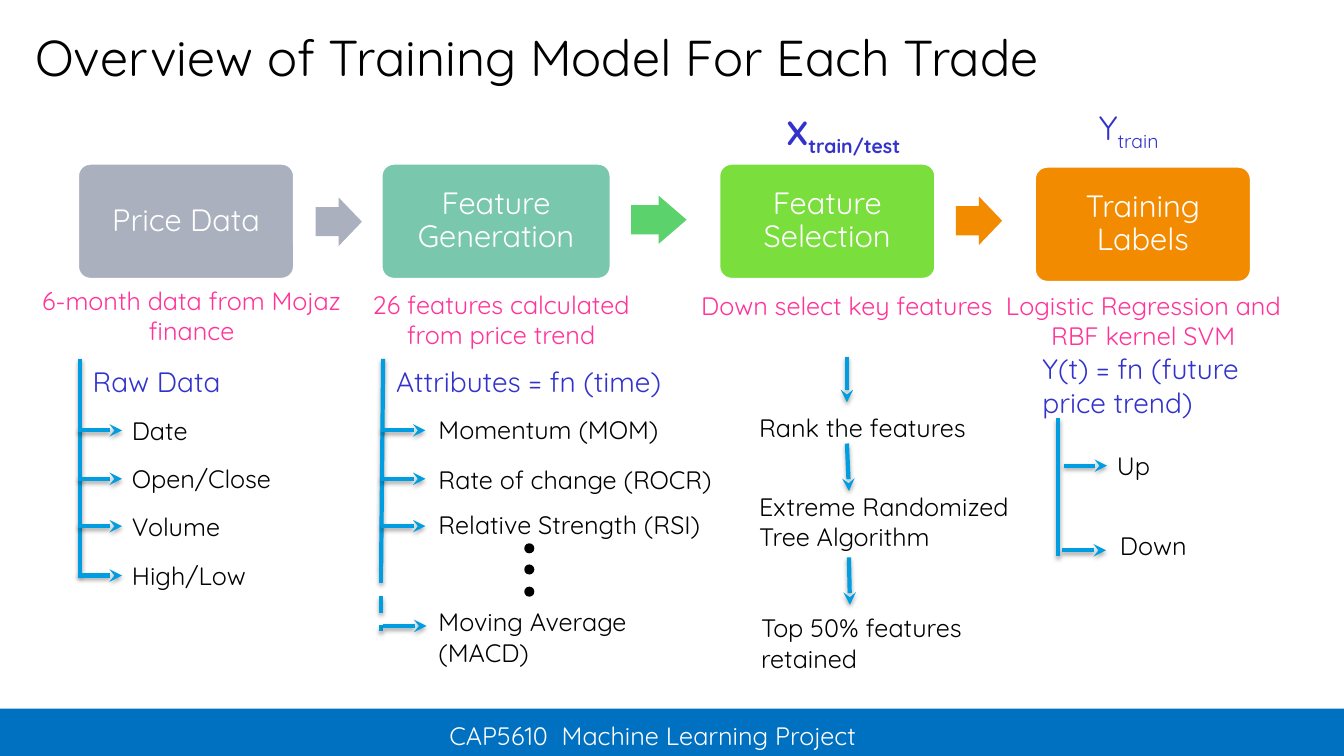
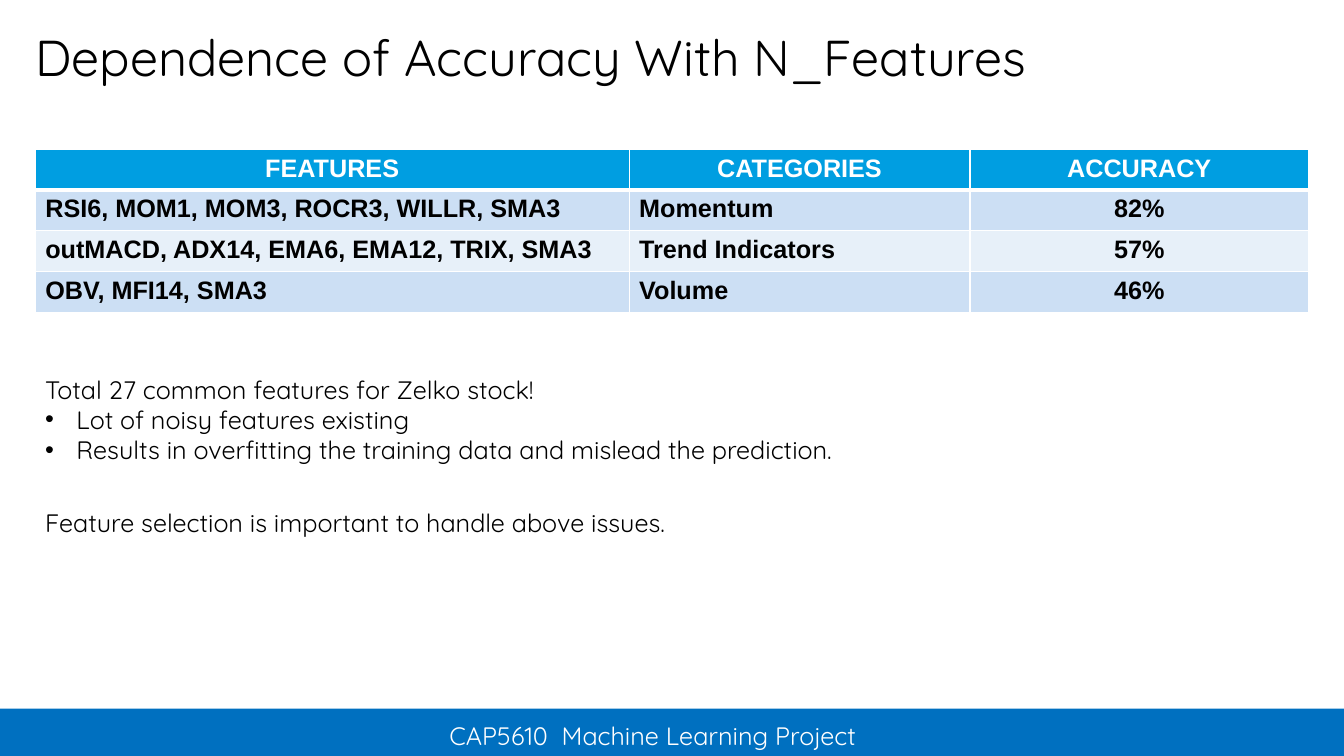
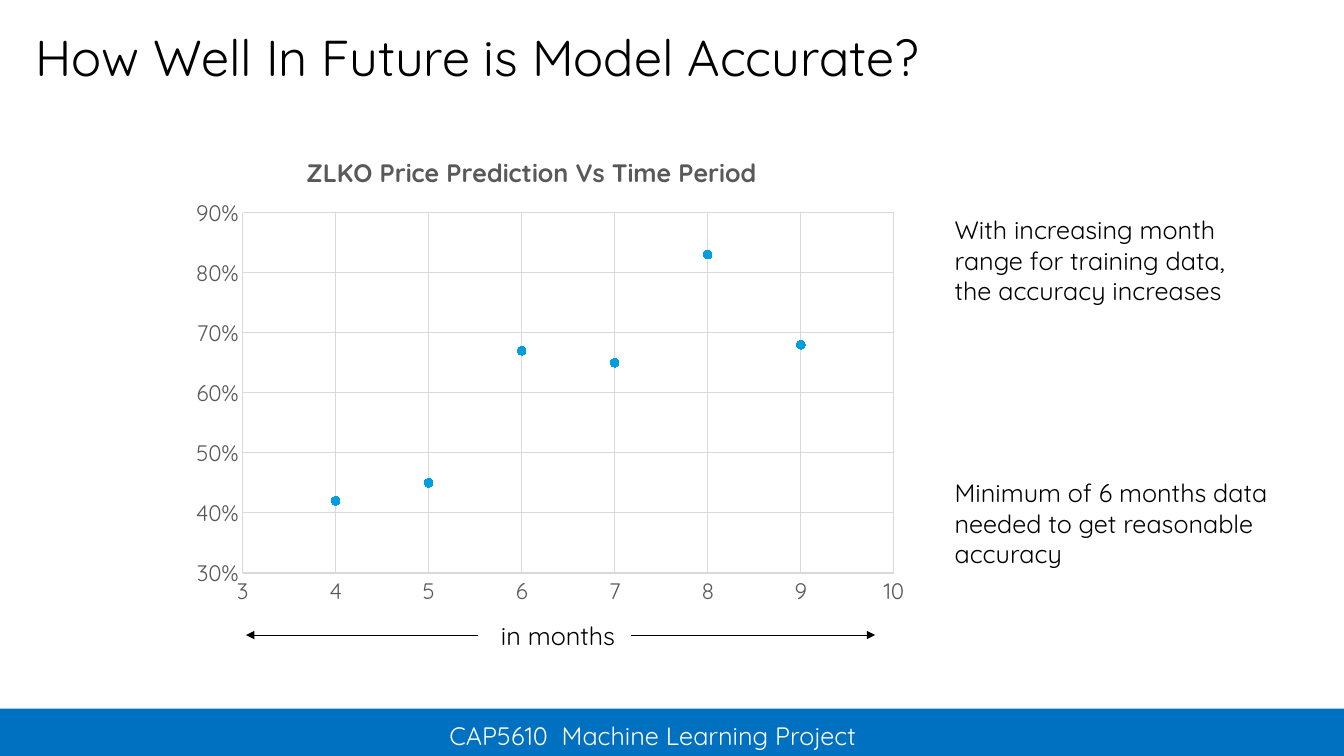
import pptx
import pptx.chart.data
import pptx.dml.color
import pptx.enum.chart
import pptx.enum.dml
import pptx.enum.shapes
import pptx.enum.text
import pptx.oxml
import pptx.oxml.ns
import pptx.util
import lxml.etree

PX = 9144
FONT = "Quicksand"
BLACK = pptx.dml.color.RGBColor(0x00, 0x00, 0x00)
WHITE = pptx.dml.color.RGBColor(0xFF, 0xFF, 0xFF)
BAND = pptx.dml.color.RGBColor(0x00, 0x70, 0xC0)
CYAN = pptx.dml.color.RGBColor(0x00, 0x9E, 0xE1)
PINK = pptx.dml.color.RGBColor(0xFF, 0x33, 0x99)
INDIGO = pptx.dml.color.RGBColor(0x33, 0x33, 0xCC)
SLATE = pptx.dml.color.RGBColor(0xAA, 0xB0, 0xBE)
TEAL = pptx.dml.color.RGBColor(0x79, 0xC8, 0xAD)
GREEN = pptx.dml.color.RGBColor(0x5C, 0xD2, 0x6C)
LIME = pptx.dml.color.RGBColor(0x7A, 0xDE, 0x3C)
ORANGE = pptx.dml.color.RGBColor(0xF3, 0x8B, 0x00)
ROW_DARK = pptx.dml.color.RGBColor(0xCC, 0xDF, 0xF4)
ROW_LIGHT = pptx.dml.color.RGBColor(0xE7, 0xF0, 0xF9)
GRAY = pptx.dml.color.RGBColor(0x59, 0x59, 0x59)
GRID = pptx.dml.color.RGBColor(0xD9, 0xD9, 0xD9)
CENTER = pptx.enum.text.PP_ALIGN.CENTER
MIDDLE = pptx.enum.text.MSO_ANCHOR.MIDDLE
BOTTOM = pptx.enum.text.MSO_ANCHOR.BOTTOM
SHAPE = pptx.enum.shapes.MSO_SHAPE
qn = pptx.oxml.ns.qn


def write(text, slide=None, at=None, holder=None, size=18, color=BLACK, font=FONT,
          bold=False, align=None, anchor=None, inset=None, spacing=None, wrap=True,
          subscript=""):
    if holder is None:
        holder = slide.shapes.add_textbox(*[value * PX for value in at])
    frame = holder.text_frame
    frame.word_wrap = wrap
    if anchor is not None:
        frame.vertical_anchor = anchor
    if inset is not None:
        frame.margin_left = frame.margin_right = inset * PX
        frame.margin_top = frame.margin_bottom = inset * PX
    for index, words in enumerate(text.split("\n")):
        para = frame.add_paragraph() if index else frame.paragraphs[0]
        para.alignment = align
        para.line_spacing = spacing
        for piece in filter(None, (words, subscript)):
            span = para.add_run()
            span.text = piece
            span.font.name = font
            span.font.size = pptx.util.Pt(size)
            span.font.bold = bold
            span.font.color.rgb = color
            if piece == subscript:
                span.font._element.set("baseline", "-25000")
    return holder


def draw_line(slide, start, end, color=CYAN, width=3, head=None, shadow=True):
    line = slide.shapes.add_connector(
        pptx.enum.shapes.MSO_CONNECTOR.STRAIGHT, *[value * PX for value in start + end])
    line.line.color.rgb = color
    line.line.width = pptx.util.Pt(width)
    if head:
        lxml.etree.SubElement(line.line._get_or_add_ln(), qn("a:tailEnd"), type=head)
    effects = lxml.etree.SubElement(line._element.spPr, qn("a:effectLst"))
    if shadow:
        outer = lxml.etree.SubElement(effects, qn("a:outerShdw"), blurRad="40000",
                                      dist="23000", dir="5400000", rotWithShape="0")
        tint = lxml.etree.SubElement(outer, qn("a:srgbClr"), val="000000")
        lxml.etree.SubElement(tint, qn("a:alpha"), val="35000")
    return line


deck = pptx.Presentation()
deck.slide_width = 1333 * PX
deck.slide_height = 750 * PX

pages = []
for title in ("Overview of Training Model For Each Trade",
              "Dependence of Accuracy With N_Features",
              "How Well In Future is Model Accurate?"):
    page = deck.slides.add_slide(deck.slide_layouts[6])
    band = page.shapes.add_shape(SHAPE.RECTANGLE, 0, 703 * PX, 1333 * PX, 47 * PX)
    band.shadow.inherit = False
    band.fill.solid()
    band.fill.fore_color.rgb = BAND
    band.line.fill.background()
    write("CAP5610  Machine Learning Project", page, (436, 710, 460, 40),
          color=WHITE, wrap=False)
    write(title, page, (35, 32, 1263, 55), size=36, anchor=BOTTOM, inset=0, spacing=0.9)
    pages.append(page)
overview, dependence, future = pages

for text, x, y, width, color in (
        ("Price Data", 77, 162, 215, SLATE),
        ("Feature Generation", 378, 162, 228, TEAL),
        ("Feature Selection", 713, 162, 215, LIME),
        ("Training Labels", 1026, 165, 215, ORANGE)):
    stage = overview.shapes.add_shape(
        SHAPE.ROUNDED_RECTANGLE, x * PX, y * PX, width * PX, 115 * PX)
    stage.adjustments[0] = 0.11
    stage.shadow.inherit = False
    stage.fill.solid()
    stage.fill.fore_color.rgb = color
    stage.line.color.rgb = WHITE
    stage.line.width = pptx.util.Pt(2)
    write(text, holder=stage, size=22, color=WHITE, align=CENTER, anchor=MIDDLE,
          inset=13, spacing=0.9)

for x, y, width, color, head in ((313, 196, 46, SLATE, 0.5),
                                 (626, 194, 55, GREEN, 0.58),
                                 (948, 195, 46, ORANGE, 0.5)):
    arrow = overview.shapes.add_shape(
        SHAPE.RIGHT_ARROW, x * PX, y * PX, width * PX, 48 * PX)
    arrow.adjustments[0] = 0.6
    arrow.adjustments[1] = head
    arrow.shadow.inherit = False
    arrow.fill.solid()
    arrow.fill.fore_color.rgb = color
    arrow.line.fill.background()

for text, x, y in (("6-month data from Mojaz finance", 32, 278),
                   ("26 features calculated from price trend", 339, 282),
                   ("Down select key features", 682, 283),
                   ("Logistic Regression and RBF kernel SVM", 976, 283)):
    write(text, overview, (x, y, 316, 71), color=PINK, align=CENTER)

for text, at, wrap in (("Raw Data", (82, 357, 149, 44), False),
                       ("Attributes = fn (time)", (383, 357, 299, 44), False),
                       ("Y(t) = fn (future price trend)", (1024, 344, 241, 77), True)):
    write(text, overview, at, size=20, color=INDIGO, wrap=wrap)
write("X", overview, (770, 106, 138, 50), size=24, color=INDIGO, bold=True,
      wrap=False, subscript="train/test")
write("Y", overview, (1080, 101, 91, 50), size=24, color=INDIGO,
      wrap=False, subscript="train")

for start, end in (((79, 356), (79, 571)), ((380, 356), (378, 562)),
                   ((1049, 415), (1049, 552))):
    draw_line(overview, start, end)
dashed = draw_line(overview, (378, 562), (378, 626))
dashed.line.dash_style = pptx.enum.dml.MSO_LINE.DASH

for text, start, end, level, at in (
        ("Date", 77, 121, 427, (121, 407, 77, 40)),
        ("Open/Close", 77, 121, 475, (121, 455, 163, 40)),
        ("Volume", 77, 121, 522, (121, 502, 111, 40)),
        ("High/Low", 77, 121, 571, (121, 551, 135, 40)),
        ("Momentum (MOM)", 378, 422, 427, (425, 406, 242, 40)),
        ("Rate of change (ROCR)", 378, 422, 475, (425, 456, 305, 40)),
        ("Relative Strength (RSI)", 378, 422, 522, (425, 500, 298, 40)),
        ("Moving Average (MACD)", 380, 423, 621, (425, 597, 262, 71)),
        ("Up", 1055, 1098, 462, (1098, 442, 55, 40)),
        ("Down", 1053, 1097, 546, (1101, 521, 90, 40))):
    label = write(text, overview, at, wrap=at[3] > 40)
    pointer = draw_line(overview, (start, level), (end, level), head="stealth")
    if at[0] == end:
        pointer.end_connect(label, 1)

for y in (539, 560, 582):
    dot = overview.shapes.add_shape(SHAPE.OVAL, 520 * PX, y * PX, 10 * PX, 10 * PX)
    dot.shadow.inherit = False
    dot.fill.solid()
    dot.fill.fore_color.rgb = BLACK
    dot.line.fill.background()

for text, at, start, end in (
        ("Rank the features", (743, 404, 236, 40), (840, 354), (840, 399)),
        ("Extreme Randomized Tree Algorithm", (743, 482, 293, 71), (840, 440), (842, 487)),
        ("Top 50% features retained", (745, 603, 249, 71), (842, 553), (843, 600))):
    write(text, overview, at)
    draw_line(overview, start, end, head="stealth")

rows = (("FEATURES", "CATEGORIES", "ACCURACY"),
        ("RSI6, MOM1, MOM3, ROCR3, WILLR, SMA3", "Momentum", "82%"),
        ("outMACD, ADX14, EMA6, EMA12, TRIX, SMA3", "Trend Indicators", "57%"),
        ("OBV, MFI14, SMA3", "Volume", "46%"))
table = dependence.shapes.add_table(
    4, 3, 35 * PX, 148 * PX, 1263 * PX, 162 * PX).table
for column, width in zip(table.columns, (589, 338, 336)):
    column.width = width * PX
for row_index, row in enumerate(rows):
    table.rows[row_index].height = 81 * PX // 2
    for column_index, text in enumerate(row):
        cell = table.cell(row_index, column_index)
        header = row_index == 0
        write(text, holder=cell, font="Arial", bold=True,
              color=WHITE if header else BLACK,
              align=CENTER if header or column_index == 2 else None)
        cell.fill.solid()
        cell.fill.fore_color.rgb = (CYAN, ROW_DARK, ROW_LIGHT, ROW_DARK)[row_index]
        properties = cell._tc.get_or_add_tcPr()
        for position, side in enumerate("LRTB"):
            thick = (row_index, side) in ((0, "B"), (1, "T"))
            border = pptx.oxml.parse_xml(
                f'<a:ln{side} {pptx.oxml.ns.nsdecls("a")} w="{38100 if thick else 12700}">'
                f'<a:solidFill><a:srgbClr val="{WHITE}"/></a:solidFill></a:ln{side}>')
            properties.insert(position, border)

notes = write("Total 27 common features for Zelko stock!\n"
              "Lot of noisy features existing\n"
              "Results in overfitting the training data and mislead the prediction.",
              dependence, (35, 366, 1263, 101))
for para in notes.text_frame.paragraphs[1:]:
    properties = para._p.get_or_add_pPr()
    properties.set("marL", str(31 * PX))
    properties.set("indent", str(-31 * PX))
    lxml.etree.SubElement(properties, qn("a:buFont"), typeface="Arial")
    lxml.etree.SubElement(properties, qn("a:buChar"), char="•")
write("Feature selection is important to handle above issues.",
      dependence, (35, 498, 1263, 40))

data = pptx.chart.data.XyChartData(number_format="0%")
series_data = data.add_series("Series 1")
for month, accuracy in ((4, 0.42), (6, 0.67), (8, 0.83), (9, 0.68), (7, 0.65), (5, 0.45)):
    series_data.add_data_point(month, accuracy)
chart = future.shapes.add_chart(
    pptx.enum.chart.XL_CHART_TYPE.XY_SCATTER,
    182 * PX, 129 * PX, 734 * PX, 483 * PX, data).chart
chart.has_legend = False
chart.font.name = FONT
chart.font.size = pptx.util.Pt(10)
chart.has_title = True
write("ZLKO Price Prediction Vs Time Period", holder=chart.chart_title,
      color=GRAY, bold=True)
plot = chart.plots[0]
plot.vary_by_categories = False
series = plot.series[0]
series.smooth = False
series.format.line.fill.background()
series.marker.style = pptx.enum.chart.XL_MARKER_STYLE.CIRCLE
series.marker.size = 6
series.marker.format.fill.solid()
series.marker.format.fill.fore_color.rgb = CYAN
series.marker.format.line.color.rgb = CYAN

for axis, low, high, step, number_format in (
        (chart.category_axis, 3, 10, 1, "General"),
        (chart.value_axis, 0.3, 0.9, 0.1, "0%")):
    axis.minimum_scale = low
    axis.maximum_scale = high
    axis.major_unit = step
    axis.major_tick_mark = pptx.enum.chart.XL_TICK_MARK.NONE
    axis.minor_tick_mark = pptx.enum.chart.XL_TICK_MARK.NONE
    axis.has_major_gridlines = True
    axis.major_gridlines.format.line.color.rgb = GRID
    axis.major_gridlines.format.line.width = pptx.util.Pt(0.75)
    axis.tick_labels.number_format = number_format
    axis.tick_labels.number_format_is_linked = False
    axis.tick_labels.font.name = FONT
    axis.tick_labels.font.size = pptx.util.Pt(16)
    axis.tick_labels.font.color.rgb = GRAY
chart.category_axis.format.line.color.rgb = GRID
chart.category_axis.format.line.width = pptx.util.Pt(1)
chart.value_axis.format.line.fill.background()

for name, position, settings in (
        ("title", 1, (("xMode", "edge"), ("yMode", "edge"), ("x", 0.16), ("y", 0.04))),
        ("plotArea", 0, (("layoutTarget", "inner"), ("xMode", "edge"), ("yMode", "edge"),
                         ("x", 0.08), ("y", 0.17), ("w", 0.88), ("h", 0.74)))):
    parent = chart._chartSpace.find(qn("c:chart")).find(qn(f"c:{name}"))
    for layout in parent.findall(qn("c:layout")):
        parent.remove(layout)
    layout = pptx.oxml.parse_xml(f'<c:layout {pptx.oxml.ns.nsdecls("c")}/>')
    manual = lxml.etree.SubElement(layout, qn("c:manualLayout"))
    for key, value in settings:
        lxml.etree.SubElement(manual, qn(f"c:{key}"), val=str(value))
    parent.insert(position, layout)

months = write("in months", future, (487, 610, 139, 40), wrap=False)
draw_line(future, (474, 630), (244, 630), color=BLACK, width=0.75,
          head="triangle", shadow=False)
rightward = draw_line(future, (626, 630), (868, 630), color=BLACK, width=0.75,
                      head="triangle", shadow=False)
rightward.begin_connect(months, 3)
write("With increasing month range for training data,\nthe accuracy increases",
      future, (937, 208, 334, 101))
write("Minimum of 6 months data needed to get reasonable accuracy",
      future, (937, 469, 334, 101))

deck.save("out.pptx")
